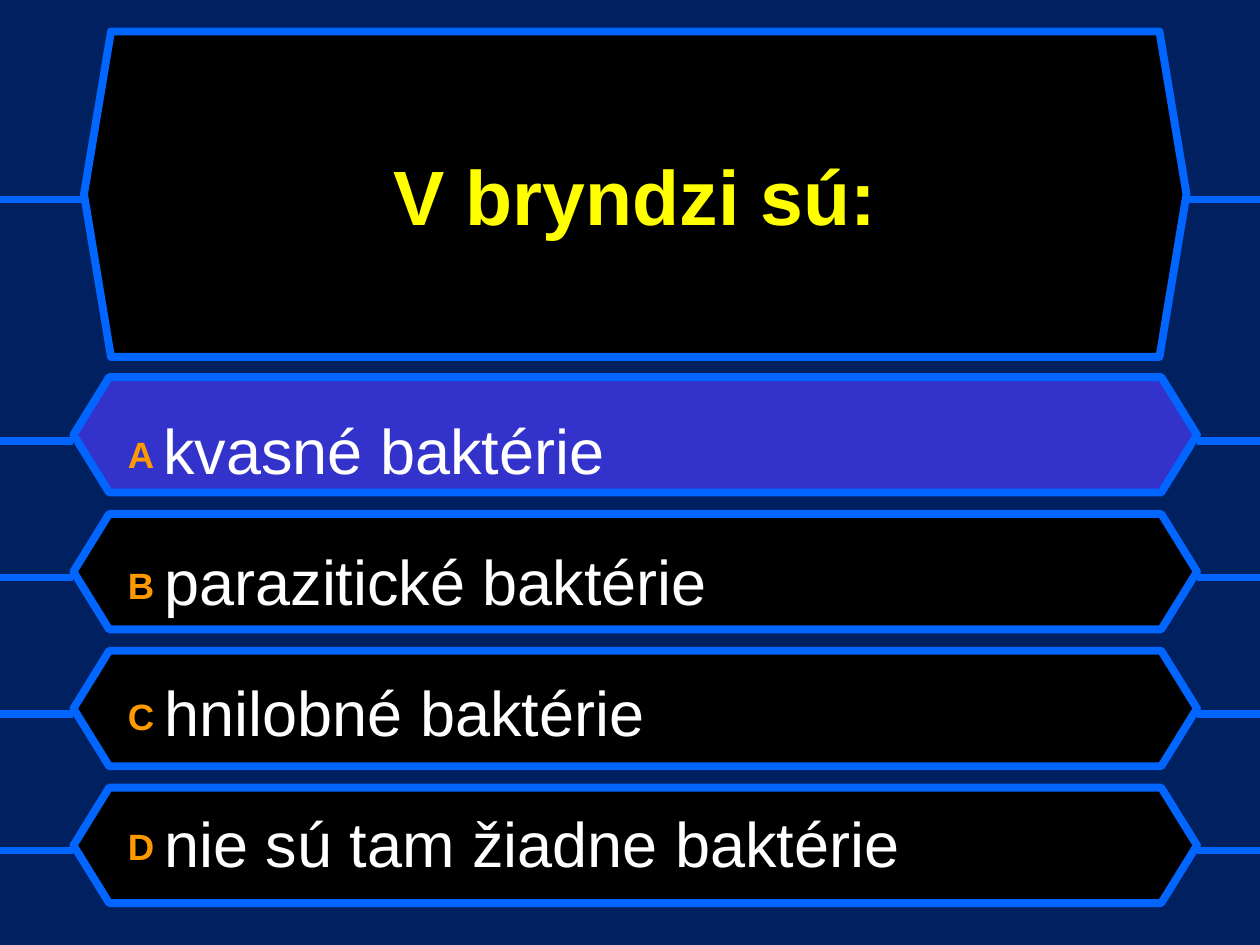
from lxml.etree import SubElement
from pptx import Presentation
from pptx.dml.color import RGBColor
from pptx.enum.shapes import MSO_CONNECTOR as Connector, MSO_SHAPE as Shape
from pptx.enum.text import MSO_ANCHOR as Anchor, PP_ALIGN as Align
from pptx.oxml.ns import qn
from pptx.util import Pt


def color(value):
    return RGBColor.from_string(value)


class QuizSlide:
    font = "Arial"
    background, panel, chosen = "002060", "000000", "3333CC"
    border, question, letter, answer = "0066FF", "FFFF00", "FF9900", "FFFFFF"
    border_width = 4.5

    def __init__(self, presentation):
        self.slide = presentation.slides.add_slide(presentation.slide_layouts[6])
        fill = self.slide.background.fill
        fill.solid()
        fill.fore_color.rgb = color(self.background)

    def outline(self, line):
        line.color.rgb = color(self.border)
        line.width = Pt(self.border_width)

    def add_hexagon(self, left, top, width, height, point, fill):
        shape = self.slide.shapes.add_shape(
            Shape.HEXAGON, Pt(left), Pt(top), Pt(width), Pt(height))
        shape.shadow.inherit = False
        shape.adjustments[0] = point
        shape.fill.solid()
        shape.fill.fore_color.rgb = color(fill)
        self.outline(shape.line)

    def add_wire(self, start, end, y):
        connector = self.slide.shapes.add_connector(
            Connector.STRAIGHT, Pt(start), Pt(y), Pt(end), Pt(y))
        SubElement(connector._element.spPr, qn("a:effectLst"))
        self.outline(connector.line)

    def add_text_frame(self, left, top, width, height, anchor):
        box = self.slide.shapes.add_textbox(Pt(left), Pt(top), Pt(width), Pt(height))
        text_frame = box.text_frame
        text_frame.word_wrap = True
        text_frame.vertical_anchor = anchor
        return text_frame

    def style_run(self, run, size, fill, bold):
        run.font.name = self.font
        run.font.size = Pt(size)
        run.font.bold = bold
        run.font.color.rgb = color(fill)

    def add_question(self, text, *place):
        text_frame = self.add_text_frame(*place, Anchor.MIDDLE)
        text_frame.text = text
        paragraph = text_frame.paragraphs[0]
        paragraph.alignment = Align.CENTER
        self.style_run(paragraph.runs[0], 44, self.question, True)

    def add_answers(self, answers, *place):
        text_frame = self.add_text_frame(*place, Anchor.TOP)
        for index, (letter, text) in enumerate(answers):
            paragraph = text_frame.add_paragraph() if index else text_frame.paragraphs[0]
            properties = paragraph._p.get_or_add_pPr()
            properties.set("marL", str(Pt(27)))
            properties.set("indent", str(Pt(-27)))
            paragraph.line_spacing = 1.5
            paragraph.space_before = Pt(10 if index else 0)
            label = paragraph.add_run()
            label.text = f"{letter} "
            self.style_run(label, 36, self.letter, True)
            label._r.get_or_add_rPr().set("baseline", "10000")
            body = paragraph.add_run()
            body.text = text
            self.style_run(body, 36, self.answer, False)


def main():
    presentation = Presentation()
    presentation.slide_width, presentation.slide_height = Pt(720), Pt(540)
    quiz = QuizSlide(presentation)
    answers = list(zip("ABCD", ["kvasné baktérie", "parazitické baktérie",
                                "hnilobné baktérie", "nie sú tam žiadne baktérie"]))

    quiz.add_hexagon(48, 18, 630, 186, 0.083, quiz.panel)
    for row, (letter, _) in enumerate(answers):
        fill = quiz.chosen if letter == "A" else quiz.panel
        quiz.add_hexagon(42, 215.5 + 78.2 * row, 642, 66, 0.309, fill)

    quiz.add_question("V bryndzi sú:", 60, 30, 606, 162)
    quiz.add_answers(answers, 66, 210, 600, 312)

    quiz.add_wire(0, 48, 114)
    quiz.add_wire(678, 720, 114)
    for row in range(len(answers)):
        y = 252 + 78 * row
        quiz.add_wire(0, 42, y)
        quiz.add_wire(684, 720, y)

    presentation.save("out.pptx")


if __name__ == "__main__":
    main()
